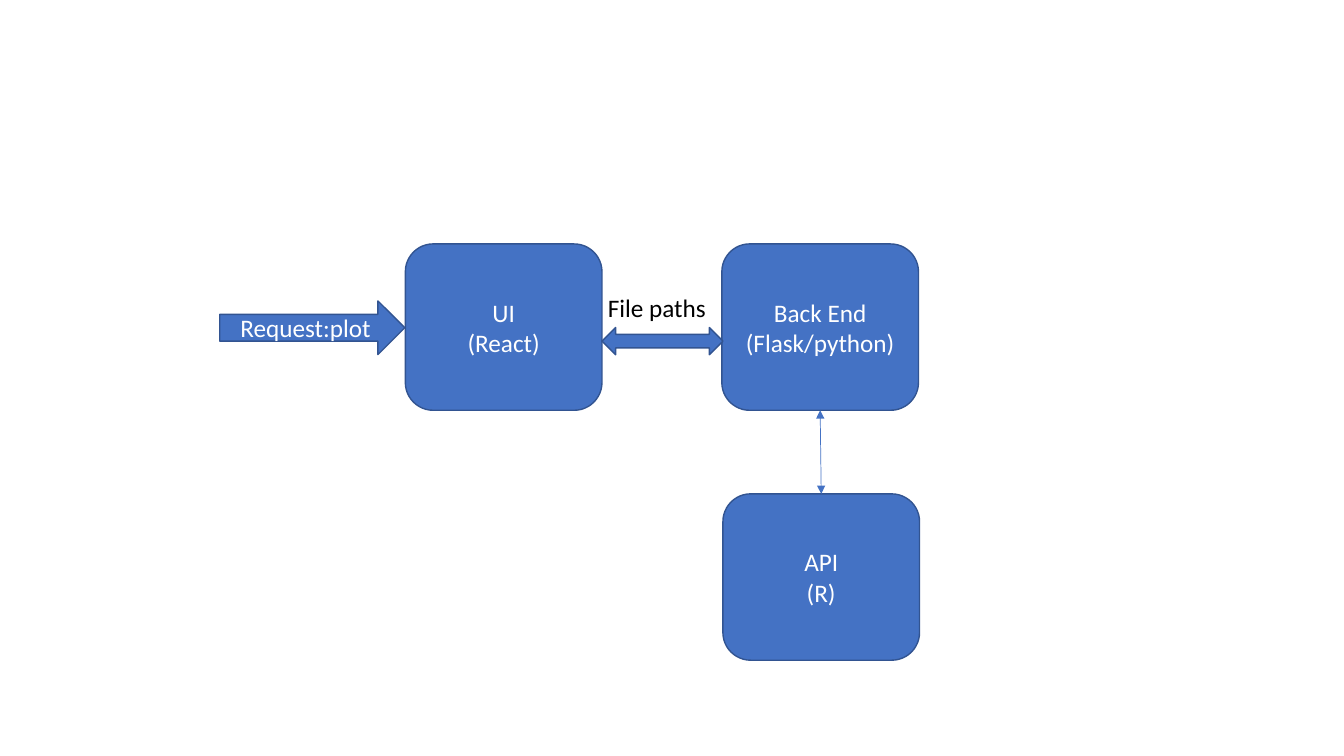
from lxml import etree
from pptx import Presentation
from pptx.dml.color import RGBColor
from pptx.enum.shapes import MSO_CONNECTOR, MSO_SHAPE
from pptx.enum.text import MSO_ANCHOR, MSO_AUTO_SIZE, PP_ALIGN
from pptx.oxml.ns import qn
from pptx.util import Inches, Pt

ROUNDED = MSO_SHAPE.ROUNDED_RECTANGLE
RIGHT_ARROW = MSO_SHAPE.RIGHT_ARROW
DOUBLE_ARROW = MSO_SHAPE.LEFT_RIGHT_ARROW
STRAIGHT = MSO_CONNECTOR.STRAIGHT
CENTER = PP_ALIGN.CENTER
LEFT = PP_ALIGN.LEFT
MIDDLE = MSO_ANCHOR.MIDDLE
GROW = MSO_AUTO_SIZE.SHAPE_TO_FIT_TEXT

COLORS = {"fill": "4472C4", "outline": "325491", "light": "FFFFFF", "dark": "000000"}

BOX_WIDTH, BOX_HEIGHT = 14.63, 22
UI_LEFT, BACK_END_LEFT, API_LEFT = 30.16, 53.71, 53.79
TOP_ROW, BOTTOM_ROW = 32.27, 65.33


class Diagram:
    """Draws flow elements on one slide, placed in percent of its size."""

    def __init__(self, presentation, font="Calibri", size=18):
        self.width = presentation.slide_width
        self.height = presentation.slide_height
        self.slide = presentation.slides.add_slide(presentation.slide_layouts[6])
        self.font, self.size = font, size

    def place(self, *shares):
        sides = (self.width, self.height) * 2
        return [round(side * share / 100) for side, share in zip(sides, shares)]

    def color(self, name):
        return RGBColor.from_string(COLORS[name])

    def set_text(self, shape, text, color, alignment):
        paragraph = shape.text_frame.paragraphs[0]
        paragraph.text = text
        paragraph.alignment = alignment
        for run in paragraph.runs:
            run.font.name = self.font
            run.font.size = Pt(self.size)
            run.font.color.rgb = self.color(color)

    def block(self, kind, left, top, width, height, text=""):
        shape = self.slide.shapes.add_shape(kind, *self.place(left, top, width, height))
        shape.shadow.inherit = False
        shape.fill.solid()
        shape.fill.fore_color.rgb = self.color("fill")
        shape.line.color.rgb = self.color("outline")
        shape.line.width = Pt(1)
        shape.text_frame.vertical_anchor = MIDDLE
        if text:
            self.set_text(shape, text, "light", CENTER)

    def box(self, left, top, text):
        self.block(ROUNDED, left, top, BOX_WIDTH, BOX_HEIGHT, text)

    def label(self, left, top, width, height, text):
        shape = self.slide.shapes.add_textbox(*self.place(left, top, width, height))
        shape.text_frame.word_wrap = False
        shape.text_frame.auto_size = GROW
        self.set_text(shape, text, "dark", LEFT)

    def link(self, *ends):
        connector = self.slide.shapes.add_connector(STRAIGHT, *self.place(*ends))
        connector.line.color.rgb = self.color("fill")
        connector.line.width = Pt(0.5)
        properties = connector._element.spPr
        outline = properties.find(qn("a:ln"))
        for end in ("a:headEnd", "a:tailEnd"):
            etree.SubElement(outline, qn(end), type="triangle")
        etree.SubElement(properties, qn("a:effectLst"))


def main():
    presentation = Presentation()
    presentation.slide_width = Inches(13.33)
    presentation.slide_height = Inches(7.5)
    diagram = Diagram(presentation)

    diagram.box(UI_LEFT, TOP_ROW, "UI\n(React)")
    diagram.block(RIGHT_ARROW, 16.35, 39.8, 13.77, 7.1, "Request:plot")
    diagram.box(BACK_END_LEFT, TOP_ROW, "Back End\n(Flask/python)")
    diagram.label(44.49, 38, 8.85, 5.33, "File paths")
    diagram.box(API_LEFT, BOTTOM_ROW, "API\n(R)")
    diagram.link(BACK_END_LEFT + BOX_WIDTH / 2, TOP_ROW + BOX_HEIGHT,
                 API_LEFT + BOX_WIDTH / 2, BOTTOM_ROW)
    diagram.block(DOUBLE_ARROW, UI_LEFT + BOX_WIDTH, 43.33, 9, 3.6)

    presentation.save("out.pptx")


if __name__ == "__main__":
    main()
